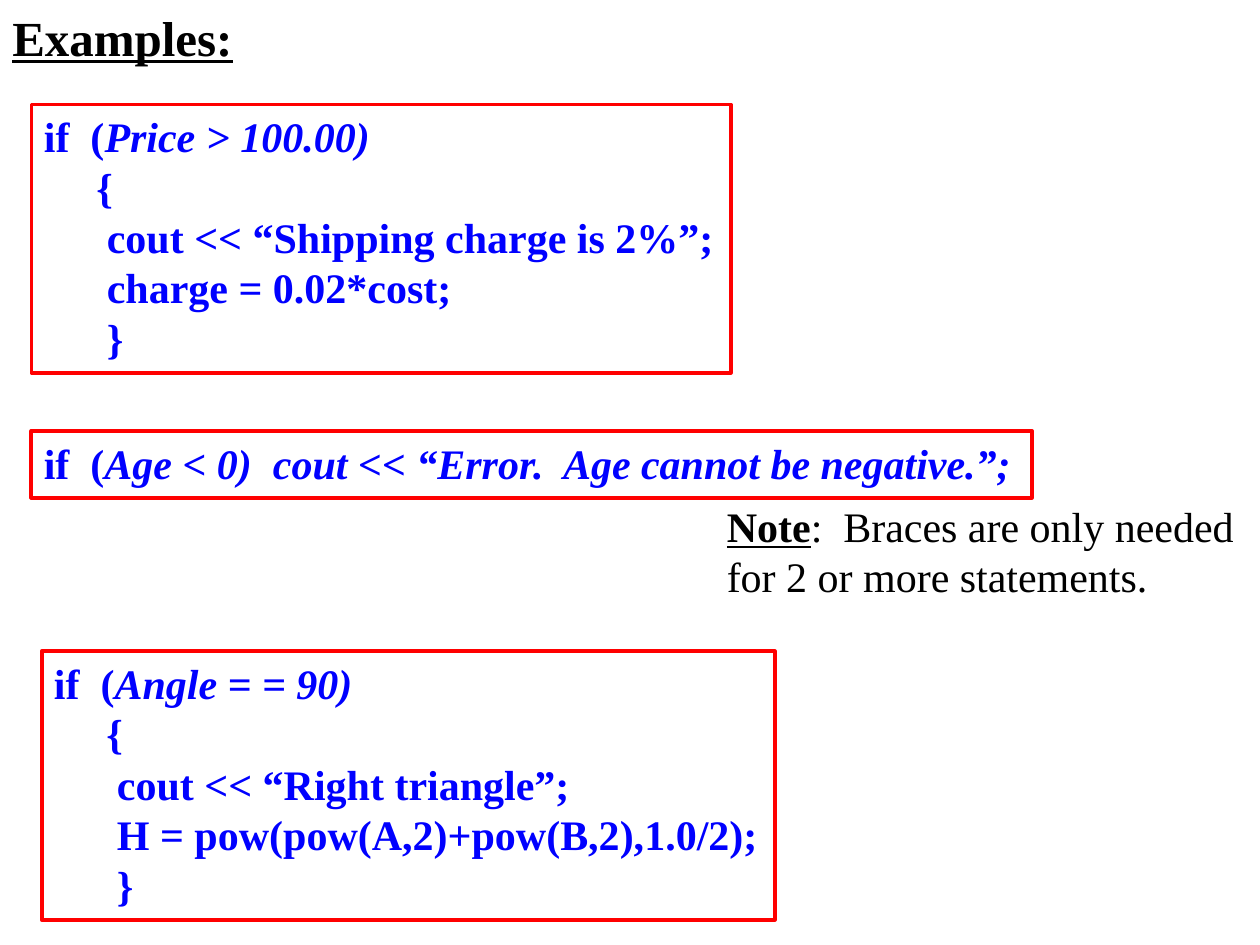
from pptx import Presentation
from pptx.dml.color import RGBColor
from pptx.enum.shapes import MSO_SHAPE
from pptx.enum.text import MSO_ANCHOR, MSO_AUTO_SIZE, PP_ALIGN
from pptx.util import Inches, Pt

FONT = "Times New Roman"
BLACK, BLUE, RED = "000000", "0000FF", "FF0000"


def rgb(color):
    return RGBColor.from_string(color)


def add_run(p, text, size, color, bold=False, italic=False, underline=False):
    r = p.add_run()
    r.text = text
    font = r.font
    font.name, font.size = FONT, Pt(size)
    font.bold, font.italic, font.underline = bold, italic, underline
    font.color.rgb = rgb(color)


def add_heading(slide, box, text):
    tf = slide.shapes.add_textbox(*map(Inches, box)).text_frame
    tf.word_wrap = True
    tf.vertical_anchor = MSO_ANCHOR.MIDDLE
    add_run(tf.paragraphs[0], text, 28, BLACK, bold=True, underline=True)


def add_code_box(slide, box, condition, body=()):
    """Frame an if statement: italic condition, then its body lines."""
    sp = slide.shapes.add_shape(MSO_SHAPE.RECTANGLE, *map(Inches, box))
    sp.shadow.inherit = False
    sp.fill.background()
    sp.line.color.rgb = rgb(RED)
    sp.line.width = Pt(2.25)
    tf = sp.text_frame
    tf.word_wrap = False
    tf.auto_size = MSO_AUTO_SIZE.SHAPE_TO_FIT_TEXT
    tf.vertical_anchor = MSO_ANCHOR.TOP
    p = tf.paragraphs[0]
    p.alignment = PP_ALIGN.LEFT
    add_run(p, "if  (", 24, BLUE, bold=True)
    add_run(p, condition, 24, BLUE, bold=True, italic=True)
    for line in body:
        p = tf.add_paragraph()
        p.alignment = PP_ALIGN.LEFT
        add_run(p, line, 24, BLUE, bold=True)


def add_note(slide, box, label, text):
    tf = slide.shapes.add_textbox(*map(Inches, box)).text_frame
    tf.word_wrap = True
    tf.auto_size = MSO_AUTO_SIZE.SHAPE_TO_FIT_TEXT
    p = tf.paragraphs[0]
    add_run(p, label, 24, BLACK, bold=True, underline=True)
    add_run(p, text, 24, BLACK)


def main():
    prs = Presentation()
    prs.slide_width, prs.slide_height = Inches(10), Inches(7.5)
    slide = prs.slides.add_slide(prs.slide_layouts[6])

    add_heading(slide, (0, 0, 8.5, 0.58), "Examples:")
    add_code_box(slide, (0.25, 0.83, 5.55, 2.13), "Price > 100.00)", [
        "     {",
        "      cout << “Shipping charge is 2%”;",
        "      charge = 0.02*cost;",
        "      }",
    ])
    add_code_box(slide, (0.25, 3.42, 7.94, 0.53),
                 "Age < 0)  cout << “Error.  Age cannot be negative.”;")
    add_note(slide, (5.67, 3.92, 4.33, 0.9), "Note",
             ":  Braces are only needed for 2 or more statements.")
    add_code_box(slide, (0.33, 5.17, 5.82, 2.13), "Angle = = 90)", [
        "     {",
        "      cout << “Right triangle”;",
        "      H = pow(pow(A,2)+pow(B,2),1.0/2);",
        "      }",
    ])
    prs.save("out.pptx")


if __name__ == "__main__":
    main()
